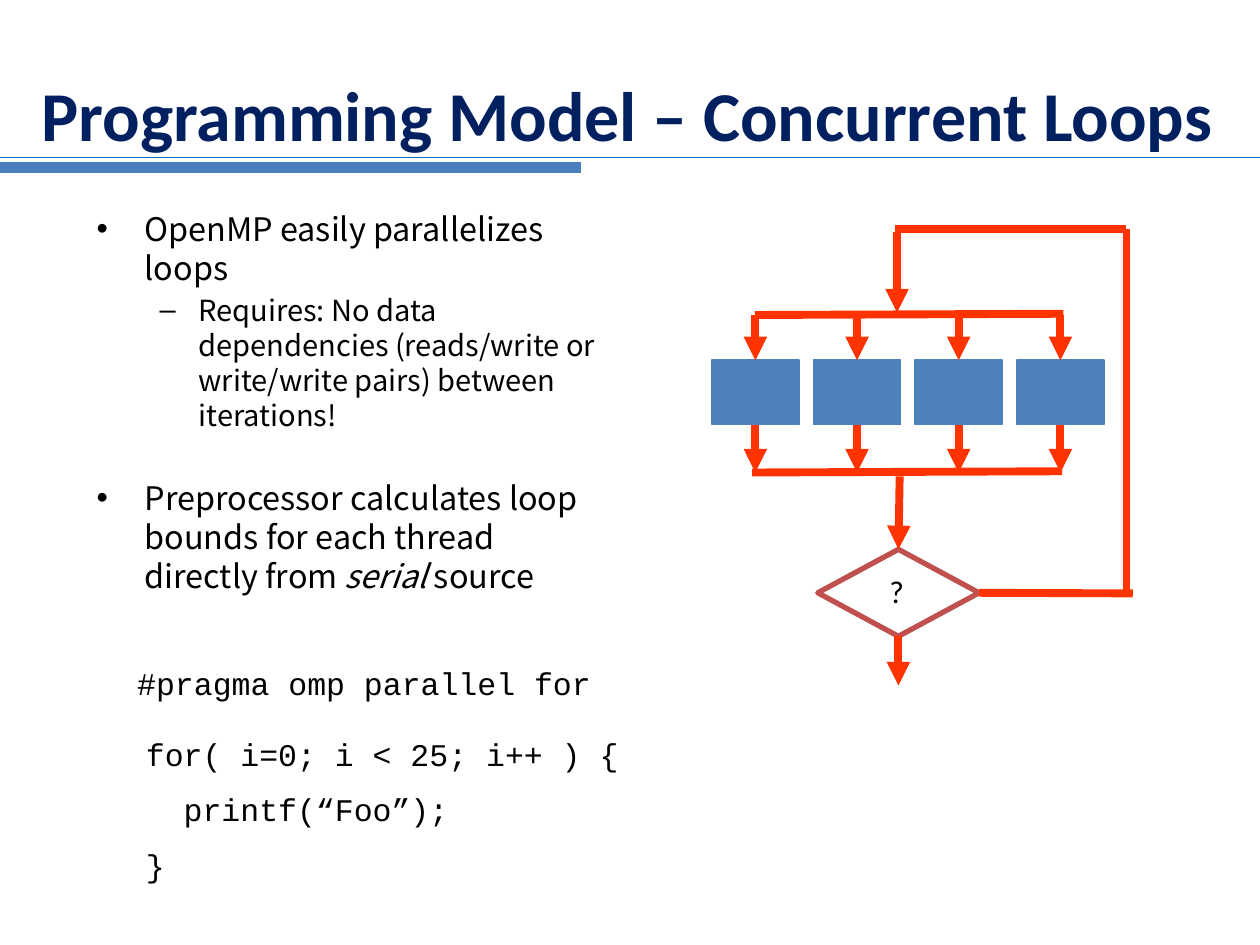
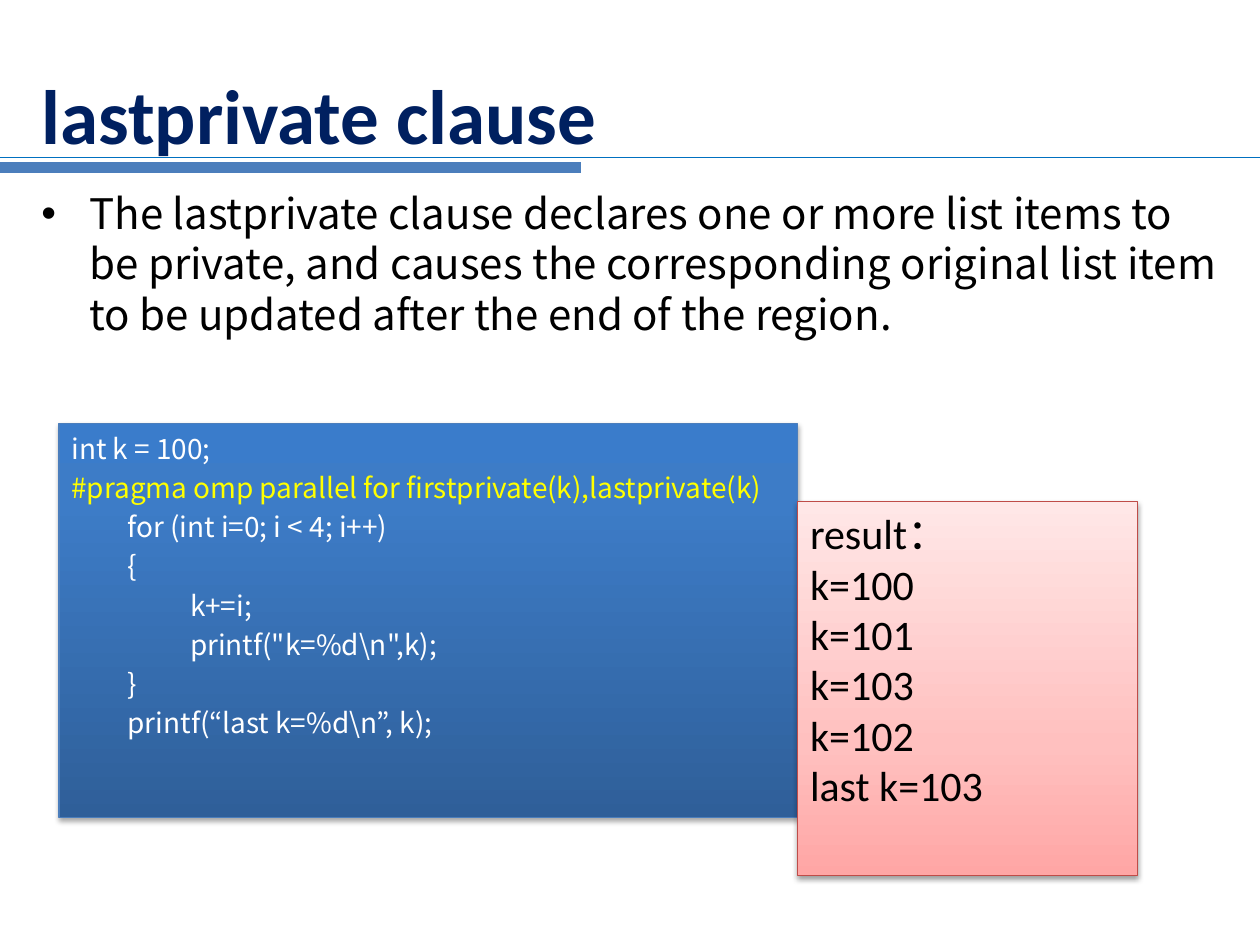
from dataclasses import dataclass

from lxml import etree
from pptx import Presentation
from pptx import util as u
from pptx.dml.color import RGBColor
from pptx.enum import shapes, text
from pptx.oxml import ns

Pt = u.Pt


@dataclass(frozen=True)
class Theme:
    navy: str = "002060"
    rule: str = "0070C0"
    band: str = "4B7EBC"
    box: str = "4F81BD"
    flow: str = "FF3300"
    choice: str = "C0504D"
    edge: str = "BF4C48"
    black: str = "000000"
    white: str = "FFFFFF"
    yellow: str = "FFFF00"
    head: str = "Calibri"
    body: str = "Noto Sans CJK JP"
    mono: str = "Courier New"
    large: float = 24
    mid: float = 18.5
    small: float = 16.6
    code: float = 18
    list: float = 16
    blues: tuple = ((0, "2F5F99"), (80, "3D7CC7"), (100, "3A7CCB"))
    pinks: tuple = ((0, "FFA6A5"), (35, "FFC0BF"), (100, "FFE7E7"))


T = Theme()

# Content
LOOPS = {
    "title": ("Programming Model – Concurrent Loops", 40),
    "points": [
        dict(text="OpenMP easily parallelizes loops", mark="•"),
        dict(text="Requires: No data dependencies (reads/write or write/write pairs) "
                  "between iterations!",
             mark="–", size=T.small, left=58.3, hang=22.3, before=3.4),
        dict(text=["Preprocessor calculates loop bounds for each thread directly from ",
                   ("serial", True), " source"],
             mark="•", before=26.5),
    ],
    "pragma": ["#pragma omp parallel for"],
    "code": ["for( i=0; i < 25; i++ ) {", "  printf(“Foo”);", "}"],
    "test": ["?"],
}
CLAUSE = {
    "title": ("lastprivate clause", 44),
    "points": [
        dict(text="The lastprivate clause declares one or more list items to be private, "
                  "and causes the corresponding original list item to be updated after "
                  "the end of the region.", mark="•"),
    ],
    "code": [
        "int k = 100;",
        dict(text="#pragma omp parallel for firstprivate(k),lastprivate(k)", color=T.yellow),
        "         for (int i=0; i < 4; i++)",
        "         {",
        "                   k+=i;",
        '                   printf("k=%d\\n",k);',
        "         }",
        "         printf(“last k=%d\\n”, k);",
    ],
    "result": ["result：", "k=100", "k=101", "k=103", "k=102", "last k=103"],
}


def rgb(code):
    return RGBColor.from_string(code)


def node(parent, tag, **attrs):
    """Append a DrawingML element."""
    return etree.SubElement(parent, ns.qn("a:" + tag),
                            {key: str(val) for key, val in attrs.items()})


def write(shape, paras, *, size, font=T.body, color=T.black, bold=False, before=0,
          pitch=None, mark=None, left=27.4, hang=27.4, top=3.6,
          anchor=text.MSO_ANCHOR.TOP, align=text.PP_ALIGN.LEFT):
    """Fill a shape with paragraphs; a dict paragraph overrides the shared format."""
    frame = shape.text_frame
    frame.word_wrap = True
    frame.vertical_anchor = anchor
    frame.margin_top = Pt(top)
    base = dict(size=size, color=color, before=before, mark=mark, left=left, hang=hang)
    for i, item in enumerate(paras):
        fmt = {**base, **(item if isinstance(item, dict) else {"text": item})}
        para = frame.paragraphs[0] if i == 0 else frame.add_paragraph()
        if fmt["mark"]:
            props = para._p.get_or_add_pPr()
            props.set("marL", str(Pt(fmt["left"])))
            props.set("indent", str(-Pt(fmt["hang"])))
            node(props, "buFont", typeface="Arial")
            node(props, "buChar", char=fmt["mark"])
        para.alignment = align
        para.space_before = Pt(fmt["before"] if i else 0)
        if pitch:
            para.line_spacing = Pt(round(pitch * fmt["size"], 1))
        parts = fmt["text"] if isinstance(fmt["text"], list) else [fmt["text"]]
        for part in parts:
            words, slant = part if isinstance(part, tuple) else (part, False)
            run = para.add_run()
            run.text = words
            run.font.size = Pt(fmt["size"])
            run.font.name = font
            run.font.bold = bold
            run.font.italic = slant
            run.font.color.rgb = rgb(fmt["color"])


def label(slide, area, paras, **fmt):
    write(slide.shapes.add_textbox(*map(Pt, area)), paras, **fmt)


def block(slide, area, *, kind=shapes.MSO_SHAPE.RECTANGLE, fill=None, line, width=1):
    shape = slide.shapes.add_shape(kind, *map(Pt, area))
    shape.shadow.inherit = False
    if fill:
        shape.fill.solid()
        shape.fill.fore_color.rgb = rgb(fill)
    else:
        shape.fill.background()
    shape.line.color.rgb = rgb(line)
    shape.line.width = Pt(width)
    return shape


def panel(slide, area, stops, line, dim, drop):
    """Add a box with an upward gradient and a soft shadow."""
    shape = block(slide, area, line=line, width=0.75)
    shape.fill.gradient()
    shape.fill.gradient_angle = 90
    props = shape._element.spPr
    ramp = props.find(ns.qn("a:gradFill")).find(ns.qn("a:gsLst"))
    ramp.clear()
    for pos, color in stops:
        node(node(ramp, "gs", pos=pos * 1000), "srgbClr", val=color)
    shade = node(props.find(ns.qn("a:effectLst")), "outerShdw", blurRad=Pt(3.1),
                 dist=Pt(drop), dir=90 * 60000, rotWithShape=0)
    node(node(shade, "srgbClr", val=T.black), "alpha", val=dim * 1000)
    return shape


def link(slide, start, end, *, color=T.flow, width=4.5, arrow=False, begin=None, finish=None):
    """Draw a line; begin and finish are (shape, site) pairs to join."""
    line = slide.shapes.add_connector(shapes.MSO_CONNECTOR.STRAIGHT, *map(Pt, start + end))
    if begin:
        line.begin_connect(*begin)
    if finish:
        line.end_connect(*finish)
    line.line.color.rgb = rgb(color)
    line.line.width = Pt(width)
    if arrow:
        node(line.line._get_or_add_ln(), "tailEnd", type="triangle")
    node(line._element.spPr, "effectLst")


def start(deck, title):
    """Add a slide with the shared rule, band and title."""
    slide = deck.slides.add_slide(deck.slide_layouts[6])
    link(slide, (0, 90), (720, 90), color=T.rule, width=0.75)
    link(slide, (0, 95.8), (332, 95.8), color=T.band, width=6)
    words, size = title
    label(slide, (16.6, 39.6, 686.2, 50.4), [words], size=size, font=T.head,
          color=T.navy, bold=True, anchor=text.MSO_ANCHOR.MIDDLE)
    return slide


def chart(slide):
    """Draw the fork, the parallel boxes, the join and the loop back."""
    first, step, wide, high = 406.8, 58.1, 49.7, 36.7
    fork, row, join = 180, 205.9, 270
    back, crown = 643.7, 131
    test = block(slide, (467.3, 313.9, 92.2, 49.7), line=T.choice, width=3,
                 kind=shapes.MSO_SHAPE.FLOWCHART_DECISION)
    label(slide, (501.1, 323.3, 25.9, 28.8), LOOPS["test"], size=T.code, font=T.head)

    link(slide, (512.6, crown + 1.5), (512.6, 178.6), arrow=True)
    link(slide, (511.2, crown), (back, crown))
    link(slide, (back, crown), (back, 341.3))
    link(slide, (559.5, 338.8), (back + 3.6, 339.1), begin=(test, 3))
    link(slide, (513.4, 363.6), (513.4, 391.7), arrow=True, begin=(test, 2))

    for lane in range(4):
        left = first + lane * step
        mid = left + wide / 2
        box = block(slide, (left, row, wide, high), fill=T.box, line=T.box)
        link(slide, (mid, row + high), (mid, join), arrow=True, begin=(box, 2))
        link(slide, (mid, fork), (mid, row), arrow=True, finish=(box, 0))

    link(slide, (607.7, fork - 0.7), (431.3, fork))
    link(slide, (607, join - 0.7), (429.8, join))
    link(slide, (514.1, 272.2), (513.4, 313.9), arrow=True, finish=(test, 0))


def loops(deck):
    slide = start(deck, LOOPS["title"])
    label(slide, (48.2, 113.8, 309.6, 241.9), LOOPS["points"], size=T.mid,
          pitch=1.2, top=5.6)
    chart(slide)
    mono = dict(size=T.code, font=T.mono)
    label(slide, (76.3, 382.3, 313.9, 163.4), LOOPS["code"], before=10.2, top=37.6, **mono)
    label(slide, (71.3, 375.8, 315.4, 31), LOOPS["pragma"], **mono)


def clause(deck):
    slide = start(deck, CLAUSE["title"])
    label(slide, (16.6, 101.5, 686.2, 388.1), CLAUSE["points"], size=T.large,
          pitch=1.2, top=5.6)
    code = panel(slide, (33.8, 241.9, 421.9, 225.4), T.blues, T.band, 35, 1.8)
    write(code, CLAUSE["code"], size=T.list, color=T.white, pitch=1.2, before=3.2, top=4.6)
    result = panel(slide, (455.8, 286.6, 194.4, 213.8), T.pinks, T.edge, 38, 1.6)
    write(result, CLAUSE["result"], size=T.large, font=T.head)


def main():
    deck = Presentation()
    deck.slide_width, deck.slide_height = Pt(720), Pt(540)
    loops(deck)
    clause(deck)
    deck.save("out.pptx")


if __name__ == "__main__":
    main()
